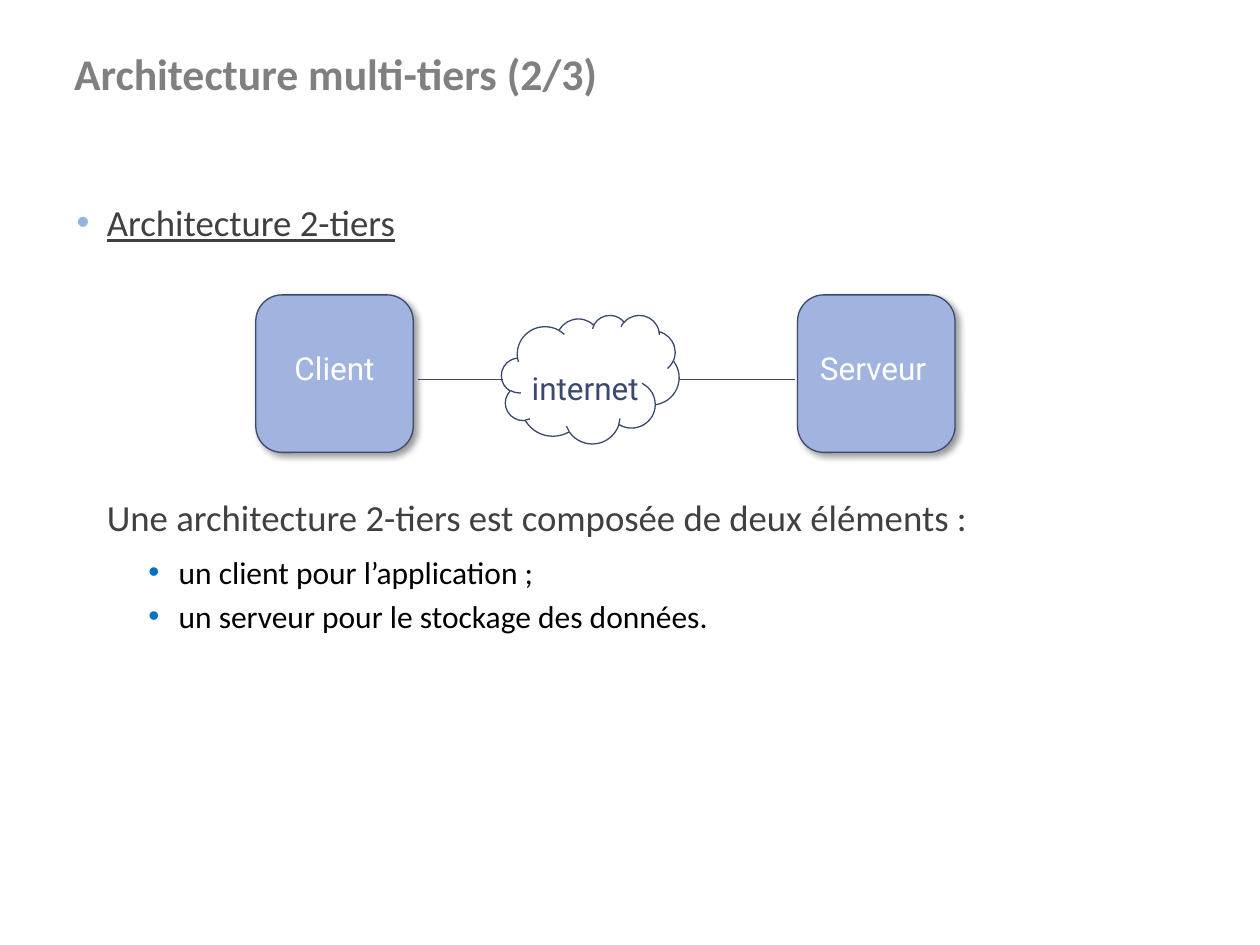
"""Build the slide that presents a two-tier architecture."""
import lxml.etree
import pptx
import pptx.dml.color
import pptx.enum.shapes
import pptx.enum.text
import pptx.oxml
import pptx.oxml.ns
import pptx.util

Inches = pptx.util.Inches
Pt = pptx.util.Pt
qn = pptx.oxml.ns.qn
SHAPES = pptx.enum.shapes.MSO_SHAPE
ALIGN = pptx.enum.text.PP_ALIGN
OUTLINE = "3C486E"
SHADOW = (
    '<a:effectLst xmlns:a="http://schemas.openxmlformats.org/drawingml/2006/main">'
    '<a:outerShdw blurRad="50800" dist="38100" dir="2700000" algn="tl" rotWithShape="0">'
    '<a:srgbClr val="000000"><a:alpha val="40000"/></a:srgbClr>'
    '</a:outerShdw></a:effectLst>'
)


def color(value):
    return pptx.dml.color.RGBColor.from_string(value)


def write(paragraph, text, font_color, font_format, paragraph_format):
    run = paragraph.add_run()
    run.text = text
    run.font.color.rgb = color(font_color)
    for target, values in ((run.font, font_format), (paragraph, paragraph_format)):
        for name, value in values.items():
            setattr(target, name, value)


presentation = pptx.Presentation()
presentation.slide_width = Inches(10)
presentation.slide_height = Inches(7.5)
slide = presentation.slides.add_slide(presentation.slide_layouts[6])

title = slide.shapes.add_textbox(Inches(0.49), Inches(0.32), Inches(9.01), Inches(0.64))
title.text_frame.word_wrap = True
write(title.text_frame.paragraphs[0], "Architecture multi-tiers (2/3)", "808080",
      {"name": "Calibri", "size": Pt(25), "bold": True}, {})

body = slide.shapes.add_textbox(Inches(0.51), Inches(1.54), Inches(9), Inches(4.94))
body.text_frame.word_wrap = True
body_lines = [
    ("Architecture 2-tiers", "404040", 21, True, 0, 0, 0.24, -0.24, "92B4DF"),
    ("Une architecture 2-tiers est composée de deux éléments :",
     "404040", 21, False, 0, 143, 0.24, 0, None),
    ("un client pour l’application ;", "000000", 18, False, 1, 8, 0.81, -0.24, "0070C0"),
    ("un serveur pour le stockage des données.",
     "000000", 18, False, 1, 3.6, 0.81, -0.24, "0070C0"),
]
for index, line in enumerate(body_lines):
    text, font_color, size, underline, level, before, margin, indent, bullet_color = line
    frame = body.text_frame
    paragraph = frame.add_paragraph() if index else frame.paragraphs[0]
    write(paragraph, text, font_color,
          {"name": "Calibri", "size": Pt(size), "underline": underline},
          {"level": level, "space_before": Pt(before)})
    properties = paragraph._p.get_or_add_pPr()
    properties.set("marL", str(Inches(margin)))
    properties.set("indent", str(Inches(indent)))
    if bullet_color:
        bullet = lxml.etree.SubElement(properties, qn("a:buClr"))
        lxml.etree.SubElement(bullet, qn("a:srgbClr"), val=bullet_color)
        lxml.etree.SubElement(properties, qn("a:buFont"), typeface="Arial")
        lxml.etree.SubElement(properties, qn("a:buChar"), char="•")

nodes = [
    (SHAPES.ROUNDED_RECTANGLE, 2.03, 2.34, 1.25, 1.25, "A1B4DF", True),
    (SHAPES.ROUNDED_RECTANGLE, 6.33, 2.34, 1.25, 1.25, "A1B4DF", True),
    (SHAPES.CLOUD, 3.98, 2.5, 1.41, 1.02, "FFFFFF", False),
]
for kind, left, top, width, height, fill, has_shadow in nodes:
    shape = slide.shapes.add_shape(kind, Inches(left), Inches(top), Inches(width), Inches(height))
    shape.fill.solid()
    shape.fill.fore_color.rgb = color(fill)
    shape.line.color.rgb = color(OUTLINE)
    shape.line.width = Pt(0.75)
    if has_shadow:
        shape._element.spPr.append(pptx.oxml.parse_xml(SHADOW))
    else:
        shape.shadow.inherit = False

for start, end in ((3.32, 3.99), (5.39, 6.31)):
    connector = slide.shapes.add_connector(
        pptx.enum.shapes.MSO_CONNECTOR.STRAIGHT,
        Inches(start), Inches(3.01), Inches(end), Inches(3.01))
    connector.line.color.rgb = color(OUTLINE)
    connector.line.width = Pt(0.75)
    lxml.etree.SubElement(connector._element.spPr, qn("a:effectLst"))

labels = [
    ("Client", 2.03, 2.34, 1.25, 0.78, "FFFFFF", ALIGN.CENTER),
    ("Serveur", 6.41, 2.34, 1.33, 0.68, "FFFFFF", ALIGN.LEFT),
    ("internet", 3.98, 2.5, 1.33, 0.78, OUTLINE, ALIGN.CENTER),
]
for text, left, top, width, height, font_color, alignment in labels:
    label = slide.shapes.add_textbox(Inches(left), Inches(top), Inches(width), Inches(height))
    label.text_frame.word_wrap = True
    label.text_frame.auto_size = pptx.enum.text.MSO_AUTO_SIZE.SHAPE_TO_FIT_TEXT
    write(label.text_frame.paragraphs[0], text, font_color,
          {"name": "Roboto", "size": Pt(18)},
          {"alignment": alignment, "line_spacing": 2.26})

presentation.save("out.pptx")
